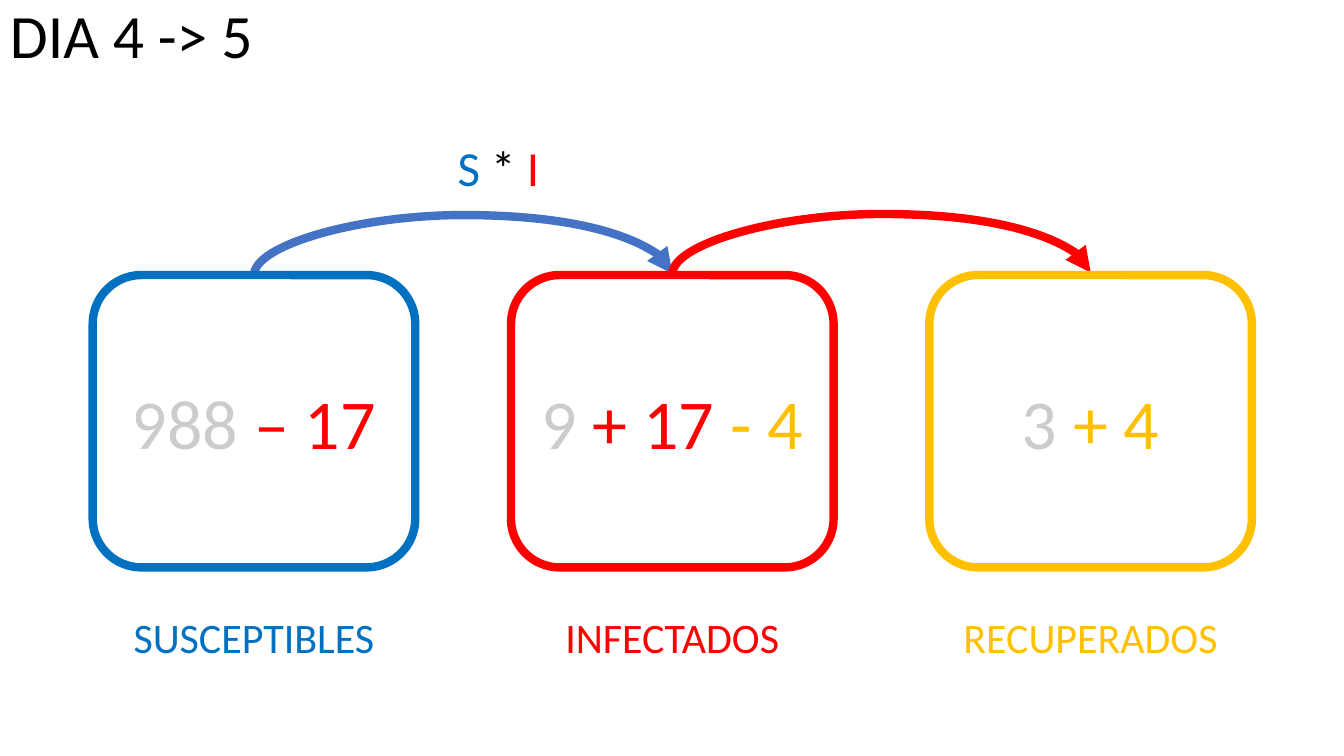
"""Build the day 4 to 5 slide of an SIR epidemic model."""
from dataclasses import dataclass
from lxml import etree
from pptx import Presentation
from pptx.dml.color import RGBColor
from pptx.enum import shapes, text
from pptx.oxml import ns
from pptx.util import Pt


@dataclass(frozen=True)
class Theme:
    font: str = "Calibri"
    black: str = "000000"
    blue: str = "0070C0"
    red: str = "FF0000"
    gold: str = "FFC000"
    arrow_blue: str = "4472C4"
    faded: str = "20000"
    title: float = 44
    count: float = 50
    label: float = 30
    product: float = 35
    stroke: float = 6


theme = Theme()


def write(frame, runs, size, **layout):
    """Fill a text frame with (words, colour, alpha) runs."""
    frame_format = {"word_wrap": True, "vertical_anchor": text.MSO_ANCHOR.MIDDLE}
    for name, value in frame_format.items():
        setattr(frame, name, value)
    paragraph = frame.paragraphs[0]
    for name, value in layout.items():
        setattr(paragraph, name, value)
    for words, colour, alpha in runs:
        run = paragraph.add_run()
        run.text = words
        for name, value in {"name": theme.font, "size": Pt(size)}.items():
            setattr(run.font, name, value)
        run.font.color.rgb = RGBColor.from_string(colour)
        if alpha:
            shade = run.font._element.find(".//" + ns.qn("a:srgbClr"))
            etree.SubElement(shade, ns.qn("a:alpha"), val=alpha)


def add_rounded(box, runs, size, outline=None):
    """Add an unfilled rounded box with centred text."""
    rounded = slide.shapes.add_shape(
        shapes.MSO_SHAPE.ROUNDED_RECTANGLE, *map(Pt, box))
    rounded.shadow.inherit = False
    rounded.fill.background()
    if outline:
        rounded.line.color.rgb = RGBColor.from_string(outline)
        rounded.line.width = Pt(theme.stroke)
    else:
        rounded.line.fill.background()
    write(rounded.text_frame, runs, size, alignment=text.PP_ALIGN.CENTER)


deck = Presentation()
deck.slide_width, deck.slide_height = Pt(960), Pt(540)
slide = deck.slides.add_slide(deck.slide_layouts[6])

left, top, width, height, pitch = 66.25, 196.5, 230.4, 208.8, 298.8
label_top, label_height = 422, 66
arrow_depth, arch_factor = 1, 43.2

for step, colour in enumerate((theme.arrow_blue, theme.red)):
    centre_x = left + width / 2 + pitch * (step + 0.5)
    centre_y = top - 0.5 - step * 0.75
    transfer = slide.shapes.add_connector(
        shapes.MSO_CONNECTOR.CURVE,
        Pt(centre_x + arrow_depth / 2), Pt(centre_y + pitch / 2),
        Pt(centre_x - arrow_depth / 2), Pt(centre_y - pitch / 2))
    transfer.line.color.rgb = RGBColor.from_string(colour)
    transfer.line.width = Pt(theme.stroke)
    properties = transfer._element.spPr
    properties.find(ns.qn("a:xfrm")).set("rot", "5400000")
    adjustments = properties.find(ns.qn("a:prstGeom")).get_or_add_avLst()
    etree.SubElement(adjustments, ns.qn("a:gd"), name="adj1",
                     fmla=f"val {round(arch_factor * 100000)}")
    etree.SubElement(properties.find(ns.qn("a:ln")), ns.qn("a:tailEnd"), type="triangle")
    etree.SubElement(properties, ns.qn("a:effectLst"))

compartments = [
    ("SUSCEPTIBLES", theme.blue, "988 ", [("– 17", theme.red, None)]),
    ("INFECTADOS", theme.red, "9 ",
     [("+ 17 ", theme.red, None), ("- 4", theme.gold, None)]),
    ("RECUPERADOS", theme.gold, "3 ", [("+ 4", theme.gold, None)]),
]
for column, (label, colour, previous, changes) in enumerate(compartments):
    x = left + column * pitch
    add_rounded((x, top, width, height),
                [(previous, theme.black, theme.faded), *changes], theme.count, colour)
    add_rounded((x, label_top, width, label_height),
                [(label, colour, None)], theme.label)

day = slide.shapes.add_textbox(0, 0, Pt(828), Pt(54.75))
write(day.text_frame, [("DIA 4 -> 5", theme.black, None)], theme.title, line_spacing=0.9)

add_rounded((316, 100, 80, 38),
            [("S", theme.blue, None), (" * ", theme.black, None), ("I", theme.red, None)],
            theme.product)

deck.save("out.pptx")
